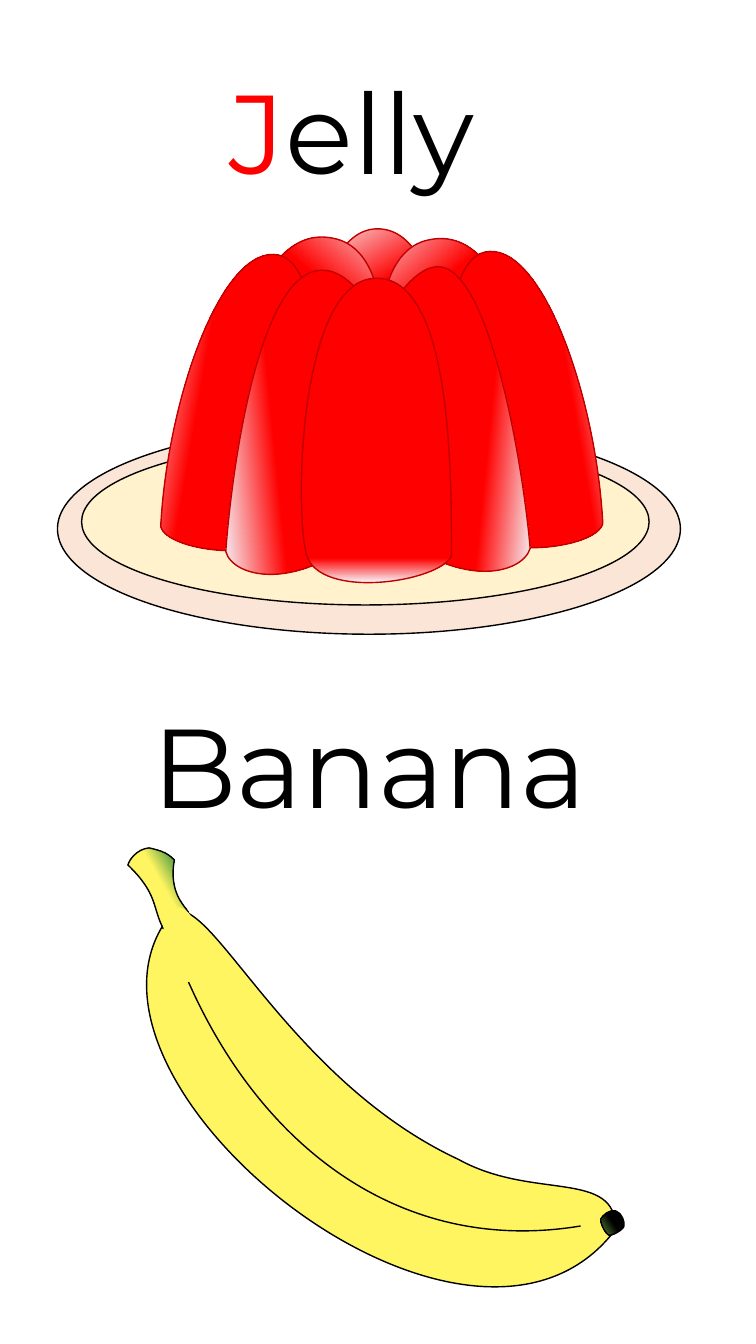
from copy import deepcopy
from math import cos, radians, sin

from pptx import Presentation
from pptx.dml.color import RGBColor
from pptx.enum.shapes import MSO_SHAPE
from pptx.enum.text import MSO_ANCHOR, MSO_AUTO_SIZE, PP_ALIGN
from pptx.oxml.ns import qn
from pptx.util import Inches, Pt

COLORS = {
    "ink": "000000", "red": "FF0000", "dark red": "C00000", "shine": "F6F8FC",
    "rim": "FBE5D6", "plate": "FFF2CC", "banana": "FFF561", "green": "70AD47",
}
COLUMNS, ROWS = 750, 1333  # fine square grid over the whole slide
CURVE_STEPS = 24  # samples per curve when measuring its extent


def turn(point, degrees):
    x, y = point
    c, s = cos(radians(degrees)), sin(radians(degrees))
    return x * c - y * s, x * s + y * c


def shift(points, dx, dy):
    return [(x + dx, y + dy) for x, y in points]


def mirror(points, axis_sum, dy):
    return [(axis_sum - x, y + dy) for x, y in points]


def extent(points):
    """Measure a chain of cubic curves: a start, then three points per curve."""
    marks = [points[0]]
    for i in range(0, len(points) - 1, 3):
        curve = points[i:i + 4]
        for step in range(1, CURVE_STEPS + 1):
            t = step / CURVE_STEPS
            u = 1 - t
            weights = (u ** 3, 3 * u * u * t, 3 * u * t * t, t ** 3)
            marks.append(tuple(sum(w * p[k] for w, p in zip(weights, curve))
                               for k in (0, 1)))
    xs, ys = zip(*marks)
    return min(xs), min(ys), max(xs) - min(xs), max(ys) - min(ys)


def bend(shape, area):
    """Turn each three line segments into one curve and fit the box to area."""
    lines = shape._element.xpath(".//a:lnTo")
    for first, second, third in zip(lines[::3], lines[1::3], lines[2::3]):
        first.tag = qn("a:cubicBezTo")
        for line in (second, third):
            first.append(line[0])
            line.getparent().remove(line)
    left, top, width, height = area
    dx, dy = shape.left - left, shape.top - top
    for point in shape._element.xpath(".//a:pt"):
        point.set("x", str(int(point.get("x")) + dx))
        point.set("y", str(int(point.get("y")) + dy))
    path = shape._element.xpath(".//a:path")[0]
    path.set("w", str(width))
    path.set("h", str(height))
    shape.left, shape.top, shape.width, shape.height = area


def add_span(para, text, size=80, font="Montserrat", color="ink"):
    span = para.add_run()
    span.text = text
    span.font.size = Pt(size)
    span.font.name = font
    span.font.color.rgb = RGBColor.from_string(COLORS[color])


class Card:
    def __init__(self, deck):
        self.page = deck.slides.add_slide(deck.slide_layouts[5])
        self.shapes = self.page.shapes
        self.column = deck.slide_width / COLUMNS
        self.row = deck.slide_height / ROWS

    def place(self, left, top, width, height):
        return [round(v * unit) for v, unit in zip(
            (left, top, width, height), (self.column, self.row) * 2)]

    def word(self, spans, area, title=False):
        area = self.place(*area)
        if title:
            box = self.shapes.title
            box.left, box.top, box.width, box.height = area
        else:
            box = self.shapes.add_textbox(*area)
        frame = box.text_frame
        frame.word_wrap = True
        frame.auto_size = MSO_AUTO_SIZE.SHAPE_TO_FIT_TEXT
        frame.vertical_anchor = MSO_ANCHOR.TOP
        para = frame.paragraphs[0]
        para.alignment = PP_ALIGN.LEFT
        for text, color in spans:
            add_span(para, text, color=color)

    def paint(self, shape, fill, line):
        shape.shadow.inherit = False
        if fill:
            shape.fill.solid()
            shape.fill.fore_color.rgb = RGBColor.from_string(COLORS[fill])
        else:
            shape.fill.background()
        if line:
            shape.line.color.rgb = RGBColor.from_string(COLORS[line])
            shape.line.width = Pt(1)
        else:
            shape.line.fill.background()

    def blend(self, shape, stops, angle):
        shape.fill.gradient()
        shape.fill.gradient_angle = -angle % 360
        last = shape._element.xpath(".//a:gs")[-1]
        for _ in stops[2:]:
            last.addnext(deepcopy(last))
        for stop, (position, color) in zip(shape.fill.gradient_stops, stops):
            stop.position = position / 100
            stop.color.rgb = RGBColor.from_string(COLORS[color])

    def ellipse(self, area, fill):
        shape = self.shapes.add_shape(MSO_SHAPE.OVAL, *self.place(*area))
        self.paint(shape, fill, "ink")

    def outline(self, points, fill=None, line="ink", stops=None, angle=0,
                rotation=0, closed=True):
        # Straighten the outline, so that the rotation brings it back
        flat = [turn(point, -rotation) for point in points]
        left, top, width, height = extent(flat)
        middle = (left + width / 2, top + height / 2)
        center = turn(middle, rotation)
        flat = shift(flat, center[0] - middle[0], center[1] - middle[1])
        area = self.place(*extent(flat))
        flat = [(round(x * self.column), round(y * self.row)) for x, y in flat]
        builder = self.shapes.build_freeform(*flat[0])
        builder.add_line_segments(flat[1:], close=closed)
        shape = builder.convert_to_shape()
        bend(shape, area)
        self.paint(shape, fill, line)
        if stops:
            self.blend(shape, stops, angle)
        shape.rotation = rotation % 360

    def petal(self, points, angle, rotation=0, reach=26):
        self.outline(points, line="dark red", angle=angle, rotation=rotation,
                     stops=[(0, "shine"), (reach, "red")])


def draw_jelly(card):
    card.word([("J", "red"), ("elly", "ink")], (218, 57, 323, 145), title=True)
    card.ellipse((57, 420, 618, 209), "rim")
    card.ellipse((81, 435, 563, 165), "plate")

    center = [(305, 501), (293, 455), (298, 228), (374, 227), (449, 226),
              (449, 418), (449, 502), (439, 528), (318, 547), (305, 501)]
    back = [(402, 502), (382, 457), (345, 255), (425, 238), (505, 220),
            (535, 376), (541, 507), (536, 533), (421, 546), (402, 502)]
    side = [(458, 514), (439, 469), (427, 262), (481, 250), (536, 238),
            (591, 389), (598, 519), (593, 545), (478, 559), (458, 514)]
    front_right = [(382, 521), (311, 457), (377, 276), (430, 265), (484, 253),
                   (519, 460), (526, 544), (518, 570), (454, 586), (382, 521)]
    front_left = [(367, 524), (438, 460), (381, 266), (319, 268), (257, 269),
                  (230, 464), (224, 547), (231, 573), (296, 589), (367, 524)]

    # Back and right, then left, then the front
    card.petal(center, 60)
    card.petal(back, 60, -9.8)
    card.petal(side, 180, -9.8)
    card.petal(front_right, 190, -4.2)
    card.petal(mirror(back, 756.5, -1.5), 120, 9.8)
    card.petal(mirror(side, 757.5, 3), 0, 9.8, reach=29)
    card.petal(front_left, 350, 4.2, reach=29)
    card.petal(shift(center, -1, 49), 270, reach=8)


def draw_banana(card):
    card.word([("Banana", "ink")], (141, 686, 492, 145))
    body = [(167, 910), (201, 865), (277, 1067), (455, 1150), (529, 1191),
            (611, 1159), (611, 1219), (467, 1411), (46, 1073), (167, 910)]
    stem = [(127, 858), (128, 853), (136, 842), (148, 841), (161, 844),
            (166, 846), (173, 853), (167, 886), (184, 899), (187, 905),
            (187, 905), (162, 921), (162, 921), (151, 900), (157, 887), (127, 858)]
    tip = [(619, 1216), (618, 1220), (607, 1226), (604, 1225), (601, 1224),
           (595, 1213), (596, 1209), (598, 1205), (605, 1199), (611, 1201),
           (617, 1203), (620, 1212), (619, 1216)]
    ridge = [(187, 974), (261, 1141), (401, 1245), (576, 1216)]
    seam = [(178, 940), (173, 939), (162, 926), (162, 919), (162, 914),
            (173, 900), (178, 900), (183, 900), (193, 909), (193, 920),
            (193, 931), (183, 940), (178, 940)]

    card.outline(body, fill="banana")
    card.outline(stem, angle=150,
                 stops=[(0, "ink"), (22, "green"), (44, "banana")])
    card.outline(tip, angle=220, rotation=286.4,
                 stops=[(48, "ink"), (98, "green")])
    card.outline(ridge, closed=False)
    card.outline(seam, fill="banana", line=None)


def main():
    deck = Presentation()
    deck.slide_width, deck.slide_height = Inches(7.5), Inches(13.33)
    card = Card(deck)
    draw_jelly(card)
    draw_banana(card)
    deck.save("out.pptx")


if __name__ == "__main__":
    main()
